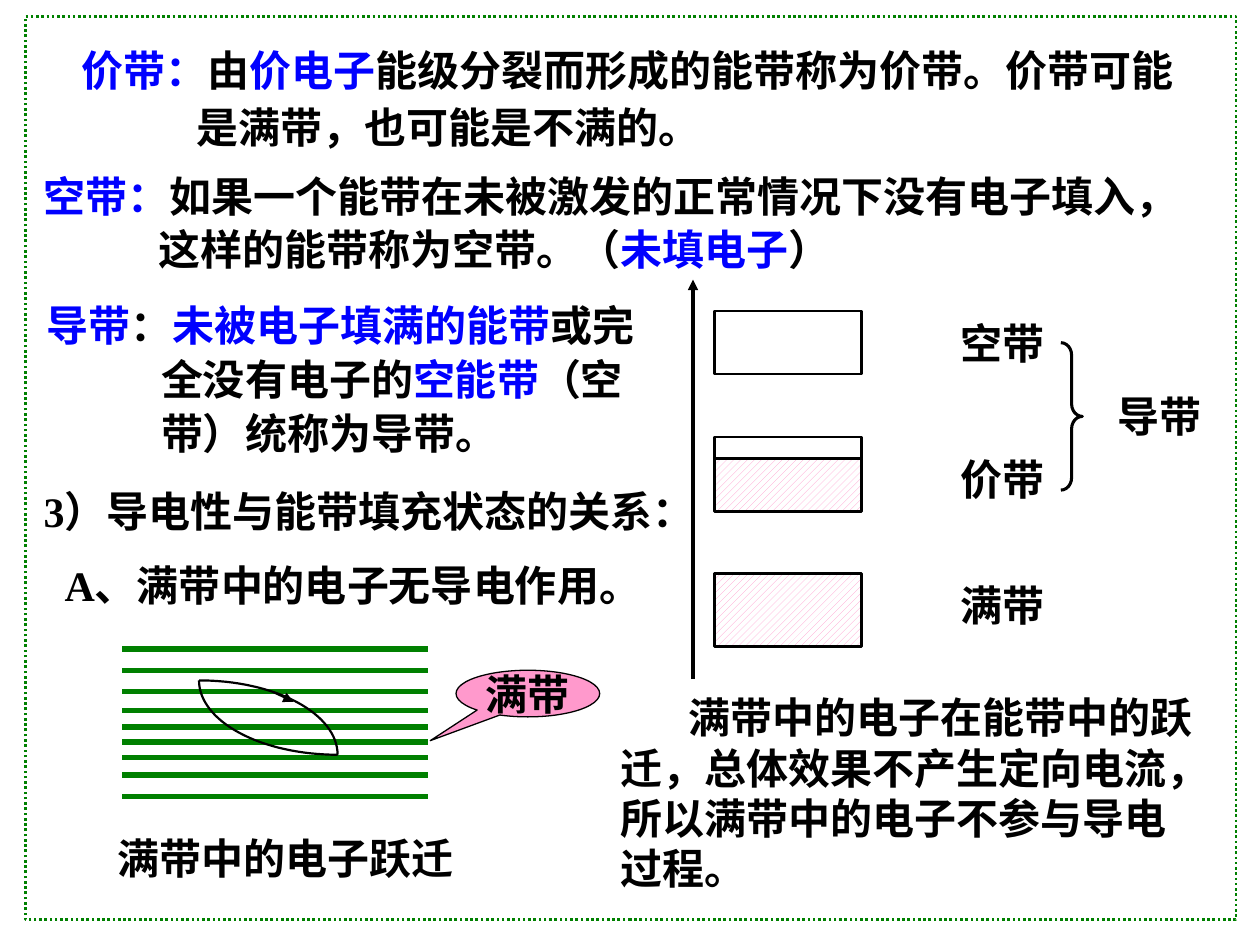
from math import cos, pi, sin

from lxml import etree
from pptx import Presentation
from pptx.dml.color import RGBColor
from pptx.enum.dml import MSO_LINE, MSO_PATTERN
from pptx.enum.lang import MSO_LANGUAGE_ID
from pptx.enum.shapes import MSO_CONNECTOR, MSO_SHAPE
from pptx.enum.text import MSO_ANCHOR, MSO_AUTO_SIZE, PP_ALIGN
from pptx.oxml.ns import qn
from pptx.util import Inches, Pt

BLACK = RGBColor(0x00, 0x00, 0x00)
WHITE = RGBColor(0xFF, 0xFF, 0xFF)
BLUE = RGBColor(0x00, 0x00, 0xFF)
GREEN = RGBColor(0x00, 0x80, 0x00)
PINK = RGBColor(0xFF, 0x99, 0xCC)

RECTANGLE = MSO_SHAPE.RECTANGLE
BRACE = MSO_SHAPE.RIGHT_BRACE
CALLOUT = MSO_SHAPE.OVAL_CALLOUT
STRAIGHT = MSO_CONNECTOR.STRAIGHT
DOTTED = MSO_LINE.ROUND_DOT
HATCH = MSO_PATTERN.WIDE_UPWARD_DIAGONAL
CHINESE = MSO_LANGUAGE_ID.SIMPLIFIED_CHINESE
MIDDLE = MSO_ANCHOR.MIDDLE
GROW = MSO_AUTO_SIZE.SHAPE_TO_FIT_TEXT
LEFT, CENTER = PP_ALIGN.LEFT, PP_ALIGN.CENTER

COLUMNS, ROWS = 100, 75


class Board:
    """Style and current slide; all lengths are columns and rows of the grid."""

    font, size, gap = "Times New Roman", Pt(24), Pt(14.3)

    def __init__(self, deck):
        self.column = deck.slide_width / COLUMNS
        self.row = deck.slide_height / ROWS
        self.page = deck.slides.add_slide(deck.slide_layouts[6])
        self.shapes = self.page.shapes

    def place(self, *lengths):
        units = (self.column, self.row) * 2
        return [round(length * unit) for length, unit in zip(lengths, units)]

    def add_spans(self, para, spans):
        for words, color in spans:
            span = para.add_run()
            span.text = words
            font = span.font
            font.name, font.size, font.bold = self.font, self.size, True
            font.color.rgb = color
            font.language_id = CHINESE

    def text(self, area, lines, align=LEFT, wrap=True, hang=0, first=0):
        """Each line is (spacing, spans); later lines are indented by hang."""
        box = self.shapes.add_textbox(*self.place(*area))
        frame = box.text_frame
        frame.word_wrap = wrap
        frame.auto_size = GROW
        for number, (spacing, spans) in enumerate(lines):
            para = frame.add_paragraph() if number else frame.paragraphs[0]
            para.alignment, para.line_spacing = align, spacing
            if number:
                para.space_before = self.gap
            left = hang if number else 0
            properties = para._p.get_or_add_pPr()
            properties.set("marL", str(round(left * self.column)))
            properties.set("indent", str(round(first * self.column)))
            self.add_spans(para, spans)

    def label(self, area, words, wrap=True):
        self.text(area, [(1, [(words, BLACK)])], CENTER, wrap)

    def shape(self, kind, area, width=1.5, color=BLACK, fill=None,
              hatched=False, adjust=()):
        shape = self.shapes.add_shape(kind, *self.place(*area))
        for number, value in enumerate(adjust):
            shape.adjustments[number] = value
        self.outline(shape, width, color)
        if hatched:
            shape.fill.patterned()
            shape.fill.pattern = HATCH
            shape.fill.fore_color.rgb = PINK
            shape.fill.back_color.rgb = WHITE
        elif fill is not None:
            shape.fill.solid()
            shape.fill.fore_color.rgb = fill
        return shape

    def outline(self, shape, width, color):
        shape.shadow.inherit = False
        shape.fill.background()
        shape.line.width = Pt(width)
        shape.line.color.rgb = color

    def line(self, start, end, width, color=BLACK, arrow=False):
        line = self.shapes.add_connector(STRAIGHT, *self.place(*start, *end))
        line.line.width = Pt(width)
        line.line.color.rgb = color
        properties = line._element.spPr
        if arrow:
            tail = etree.SubElement(properties.find(qn("a:ln")), qn("a:tailEnd"))
            tail.set("type", "triangle")
        etree.SubElement(properties, qn("a:effectLst"))

    def quarter_arc(self, center, radii, turn, width, steps=32):
        """Quarter of an ellipse, beginning at the angle turn."""
        points = []
        for step in range(steps + 1):
            angle = turn + step / steps * pi / 2
            points.append(self.place(center[0] + radii[0] * cos(angle),
                                     center[1] + radii[1] * sin(angle)))
        builder = self.shapes.build_freeform(*points[0])
        builder.add_line_segments(points[1:], close=False)
        self.outline(builder.convert_to_shape(), width, BLACK)


def main():
    deck = Presentation()
    deck.slide_width, deck.slide_height = Inches(10), Inches(7.5)
    board = Board(deck)

    # Dotted frame
    frame = board.shape(RECTANGLE, (2, 1.3, 96.1, 71.7), color=GREEN)
    frame.line.dash_style = DOTTED

    # Definitions with hanging later lines
    board.text((2.5, 13, 98.3, 9.1), [
        (1, [("空带：", BLUE),
             ("如果一个能带在未被激发的正常情况下没有电子填入，", BLACK)]),
        (0.5, [("这样的能带称为空带。（", BLACK), ("未填电子", BLUE),
               ("）", BLACK)]),
    ], hang=9.1)
    board.text((5.5, 3, 92.5, 9.5), [
        (1, [("价带：", BLUE), ("由", BLACK), ("价电子", BLUE),
             ("能级分裂而形成的能带称为价带。价带可能", BLACK)]),
        (0.6, [("是满带，也可能是不满的。", BLACK)]),
    ], hang=9.1)
    board.text((2.7, 23.3, 51.7, 13.6), [
        (1, [("导带", BLUE), ("：", BLACK), ("未被电子填满的能带", BLUE),
             ("或完", BLACK)]),
        (0.5, [("全没有电子的", BLACK), ("空能带", BLUE), ("（空", BLACK)]),
        (0.6, [("带）统称为导带。", BLACK)]),
    ], hang=9.1)

    # Energy bands: top, height, hatched
    for top, height, hatched in ((24.7, 5, False), (34.7, 1.7, False),
                                 (36.4, 4.2, True), (45.5, 5.8, True)):
        board.shape(RECTANGLE, (56.7, top, 11.7, height), hatched=hatched)
    for top, name in ((45.5, "满带"), (24.7, "空带"), (35.5, "价带")):
        board.label((70.8, top, 17.5, 5.1), name)
    board.shape(BRACE, (84.2, 27.2, 1.7, 11.7), 1.75, adjust=(0.58, 0.5))
    board.label((83.3, 30.5, 17.5, 5.1), "导带")

    # Headings
    board.label((2.3, 38, 54, 5.1), "3）导电性与能带填充状态的关系：")
    board.label((3.9, 43.9, 48.2, 5.1), "A、满带中的电子无导电作用。", wrap=False)

    # Levels of the filled band
    for level in (63.2, 61.5, 60.1, 58.9, 57.7, 56.4, 54.9, 53.2, 51.5):
        board.line((9.7, level), (34, level), 3, GREEN)
    board.label((8.3, 65.6, 28.7, 5), "满带中的电子跃迁", wrap=False)
    callout = board.shape(CALLOUT, (36.2, 53.2, 11.4, 3.7), 0.75, fill=PINK,
                          adjust=(-0.68, 1.01))
    callout.text_frame.word_wrap = False
    callout.text_frame.vertical_anchor = MIDDLE
    name = callout.text_frame.paragraphs[0]
    name.alignment = CENTER
    board.add_spans(name, [("满带", BLACK)])

    # Electron jump between levels
    board.quarter_arc((15.8, 59.9), (11, 5.9), -pi / 2, 1.25)
    board.quarter_arc((26.8, 54), (11, 5.9), pi / 2, 1.25)
    board.line((21.6, 54.9), (23.3, 55.7), 1, arrow=True)

    # Conclusion and energy axis
    conclusion = ("满带中的电子在能带中的跃迁，总体效果不产生定向电流，"
                  "所以满带中的电子不参与导电过程。")
    board.text((48.3, 54.4, 48.3, 17.2), [(1, [(conclusion, BLACK)])], first=5.4)
    board.line((55, 53.9), (55, 22.2), 1.75, arrow=True)

    deck.save("out.pptx")


if __name__ == "__main__":
    main()
